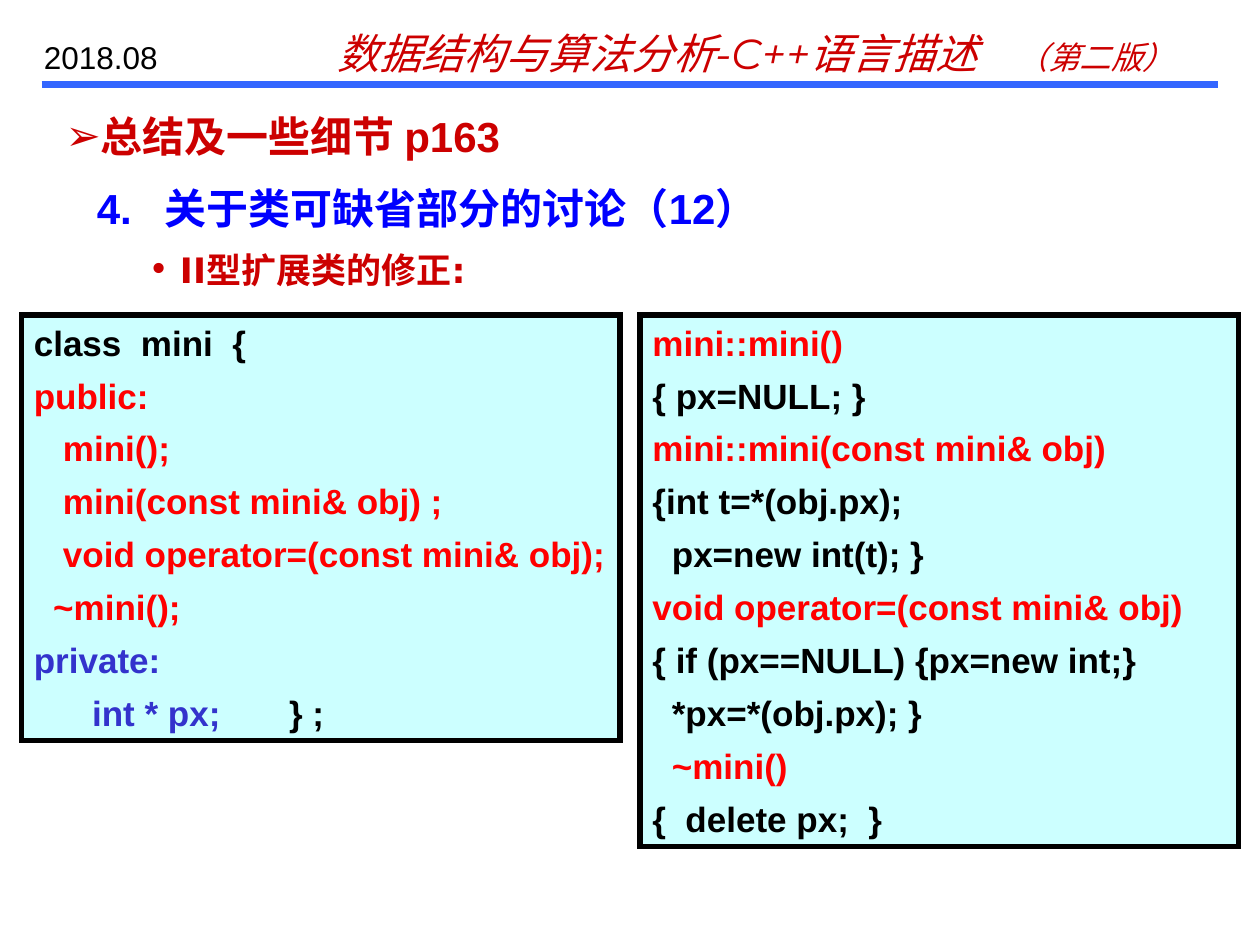
from lxml import etree
from pptx import Presentation
from pptx.dml.color import RGBColor
from pptx.enum.shapes import MSO_CONNECTOR, MSO_SHAPE
from pptx.enum.text import MSO_ANCHOR, MSO_AUTO_SIZE, PP_ALIGN
from pptx.oxml.ns import qn
from pptx.util import Inches, Pt

TOP, MIDDLE = MSO_ANCHOR.TOP, MSO_ANCHOR.MIDDLE
LEFT = PP_ALIGN.LEFT
RECTANGLE = MSO_SHAPE.RECTANGLE
STRAIGHT = MSO_CONNECTOR.STRAIGHT
NO_AUTOFIT = MSO_AUTO_SIZE.NONE

BLACK = RGBColor(0x00, 0x00, 0x00)
DARK_RED = RGBColor(0xCC, 0x00, 0x00)
RED = RGBColor(0xFF, 0x00, 0x00)
BLUE = RGBColor(0x00, 0x00, 0xFF)
INDIGO = RGBColor(0x33, 0x33, 0xCC)
RULE_BLUE = RGBColor(0x33, 0x66, 0xFF)
PALE_CYAN = RGBColor(0xCC, 0xFF, 0xFF)

BOOK_TITLE = [("数据结构与算法分析-C++语言描述\t", 24), ("（第二版）", 18)]
DATE = "2018.08"
TITLE = "总结及一些细节 p163"
TOPIC = "4.\t关于类可缺省部分的讨论（12）"
POINT = "II型扩展类的修正:"

CLASS_CODE = [
    [("class  mini  {", BLACK)],
    [("public:", RED)],
    [("   mini();", RED)],
    [("   mini(const mini& obj) ;", RED)],
    [("   void operator=(const mini& obj);", RED)],
    [("  ~mini();", RED)],
    [("private:", INDIGO)],
    [("      int * px;       ", INDIGO), ("} ;", BLACK)],
]
METHOD_CODE = [
    [("mini::mini()", RED)],
    [("{ px=NULL; }", BLACK)],
    [("mini::mini(const mini& obj)", RED)],
    [("{int t=*(obj.px);", BLACK)],
    [("  px=new int(t); }", BLACK)],
    [("void operator=(const mini& obj)", RED)],
    [("{ if (px==NULL) {px=new int;}", BLACK)],
    [("  *px=*(obj.px); }", BLACK)],
    [("  ~mini()", RED)],
    [("{  delete px;  }", BLACK)],
]
CODE_LEFTS = (0.17, 5.08)
CODE_TOP, CODE_WIDTH = 2.5, 4.75
LINE_PITCH = 0.42


def prepare_frame(shape, anchor=TOP):
    frame = shape.text_frame
    frame.word_wrap = True
    frame.auto_size = NO_AUTOFIT
    frame.vertical_anchor = anchor
    paragraph = frame.paragraphs[0]
    paragraph.alignment = LEFT
    return paragraph


def add_text_box(slide, left, top, width, height):
    box = slide.shapes.add_textbox(Inches(left), Inches(top), Inches(width), Inches(height))
    return prepare_frame(box)


def set_font(paragraph, name, size, color, bold=False):
    font = paragraph.font
    font.name, font.size, font.bold = name, Pt(size), bold
    font.color.rgb = color


def add_bullet(paragraph, character, color, hanging):
    properties = paragraph._p.get_or_add_pPr()
    properties.set("marL", str(Inches(hanging)))
    properties.set("indent", str(-Inches(hanging)))
    bullet_color = etree.SubElement(properties, qn("a:buClr"))
    etree.SubElement(bullet_color, qn("a:srgbClr"), val=str(color))
    etree.SubElement(properties, qn("a:buFont"), typeface="DejaVu Sans")
    etree.SubElement(properties, qn("a:buChar"), char=character)


def add_tab(paragraph, position):
    tabs = etree.SubElement(paragraph._p.get_or_add_pPr(), qn("a:tabLst"))
    etree.SubElement(tabs, qn("a:tab"), pos=str(Inches(position)), algn="l")


def add_header(slide):
    rule = slide.shapes.add_connector(
        STRAIGHT, Inches(0.33), Inches(0.67), Inches(9.67), Inches(0.67))
    rule.line.color.rgb = RULE_BLUE
    rule.line.width = Pt(4)
    etree.SubElement(rule._element.spPr, qn("a:effectLst"))

    book = add_text_box(slide, 2.58, 0.17, 7, 0.5)
    add_tab(book, 5.39)
    set_font(book, "Montserrat", 24, DARK_RED)
    book.font.italic = True
    for text, size in BOOK_TITLE:
        run = book.add_run()
        run.text = text
        run.font.size = Pt(size)

    date = add_text_box(slide, 0.25, 0.25, 1.42, 0.4)
    date.text = DATE
    set_font(date, "Arial", 18, BLACK)


def add_headings(slide):
    title = slide.shapes.title
    title.left, title.top = Inches(0.42), Inches(0.83)
    title.width, title.height = Inches(9.33), Inches(0.5)
    heading = prepare_frame(title, MIDDLE)
    heading.text = TITLE
    add_bullet(heading, "➢", DARK_RED, 0.28)
    set_font(heading, "Arial", 24, DARK_RED, True)

    topic = add_text_box(slide, 0.67, 1.4, 9.17, 0.5)
    topic.text = TOPIC
    add_tab(topic, 0.54)
    set_font(topic, "Arial", 24, BLUE, True)

    point = add_text_box(slide, 1.08, 1.92, 7.42, 0.44)
    point.text = POINT
    add_bullet(point, "•", DARK_RED, 0.25)
    set_font(point, "DejaVu Sans", 20, DARK_RED, True)


def add_code_box(slide, left, lines):
    height = LINE_PITCH * len(lines) + 0.02
    box = slide.shapes.add_shape(
        RECTANGLE, Inches(left), Inches(CODE_TOP), Inches(CODE_WIDTH), Inches(height))
    box.shadow.inherit = False
    box.fill.solid()
    box.fill.fore_color.rgb = PALE_CYAN
    box.line.color.rgb = BLACK
    box.line.width = Pt(3)
    etree.SubElement(box.line._get_or_add_ln(), qn("a:miter"), lim="800000")
    paragraph = prepare_frame(box)
    for index, pieces in enumerate(lines):
        if index:
            paragraph = box.text_frame.add_paragraph()
            paragraph.alignment = LEFT
            paragraph.space_before = Pt(6.2)
        set_font(paragraph, "Arial", 20, pieces[0][1], True)
        for text, color in pieces:
            run = paragraph.add_run()
            run.text = text
            run.font.color.rgb = color


def main():
    presentation = Presentation()
    presentation.slide_width, presentation.slide_height = Inches(10), Inches(7.5)
    slide = presentation.slides.add_slide(presentation.slide_layouts[5])
    add_header(slide)
    add_headings(slide)
    for left, lines in zip(CODE_LEFTS, (CLASS_CODE, METHOD_CODE)):
        add_code_box(slide, left, lines)
    presentation.save("out.pptx")


if __name__ == "__main__":
    main()
